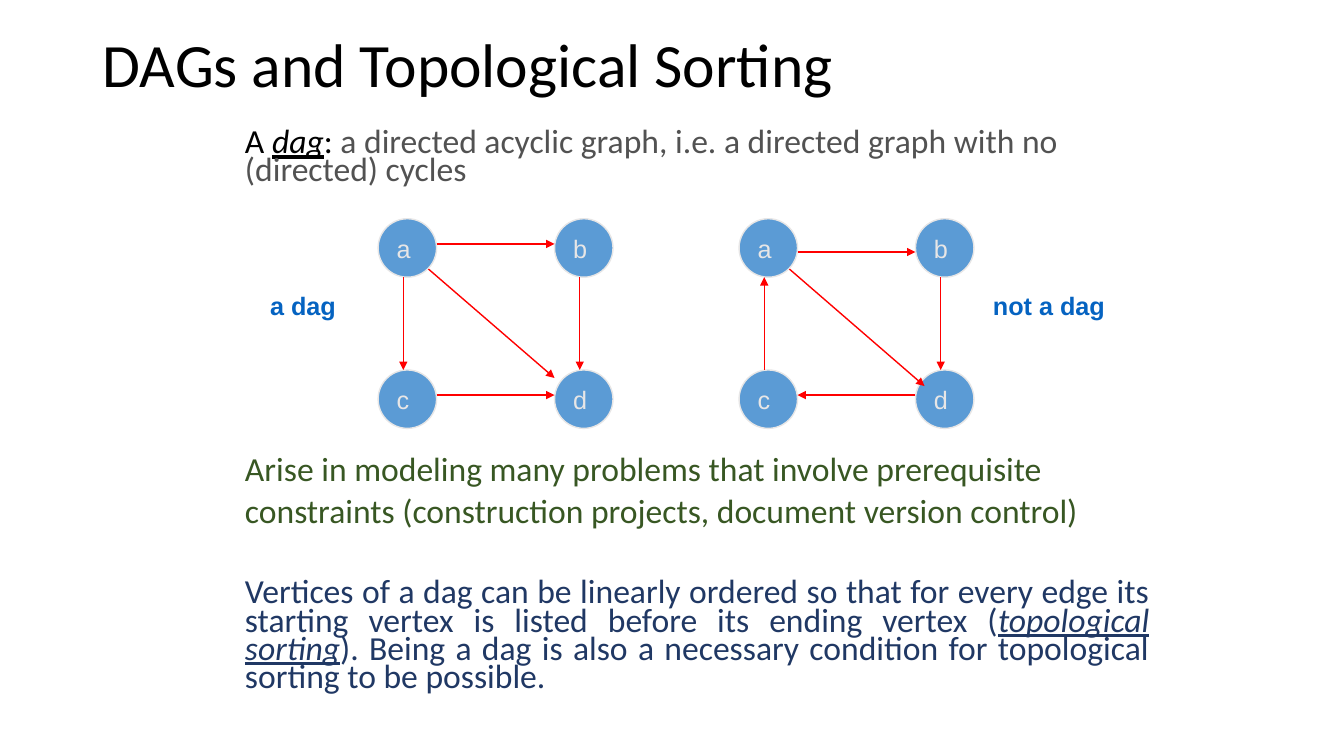
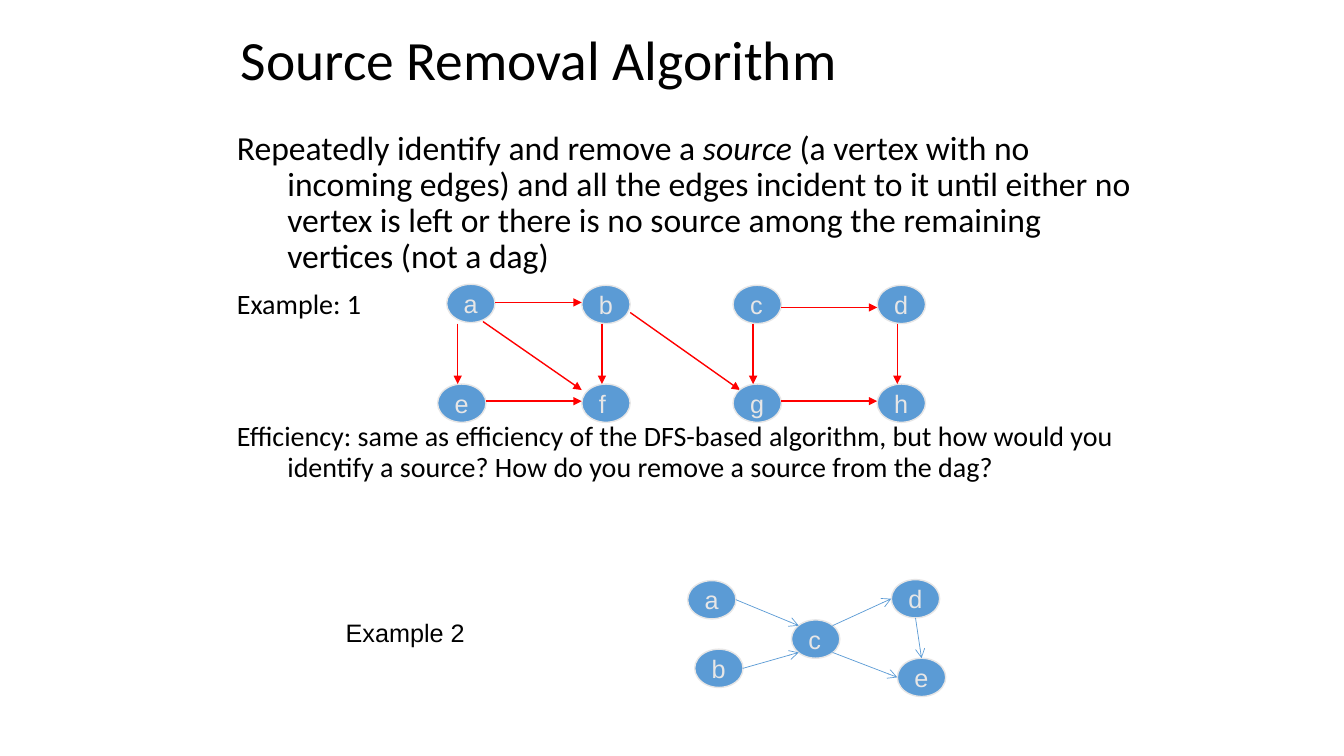
from lxml import etree
from pptx import Presentation
from pptx.dml.color import RGBColor
from pptx.enum.shapes import MSO_CONNECTOR, MSO_SHAPE
from pptx.enum.text import MSO_ANCHOR, MSO_AUTO_SIZE, PP_ALIGN
from pptx.oxml.ns import qn
from pptx.util import Inches, Pt

ELLIPSE, STRAIGHT = MSO_SHAPE.OVAL, MSO_CONNECTOR.STRAIGHT
LEFT, JUSTIFY = PP_ALIGN.LEFT, PP_ALIGN.JUSTIFY
TOP, MIDDLE = MSO_ANCHOR.TOP, MSO_ANCHOR.MIDDLE
NO_FIT = MSO_AUTO_SIZE.NONE

COLORS = {
    "text": "000000", "gray": "525252", "green": "385723", "navy": "203864",
    "label": "0563C1", "node": "5B9BD5", "node_text": "E7E6E6", "edge": "FF0000",
}
HEADING_FONT, LABEL_FONT = "Calibri", "Arial"

# Connection sites of an ellipse: index and position within its frame
SITES = {
    "top": (0, 0.5, 0), "top_left": (1, 0.15, 0.15), "left": (2, 0, 0.5),
    "bottom_left": (3, 0.15, 0.85), "bottom": (4, 0.5, 1),
    "bottom_right": (5, 0.85, 0.85), "right": (6, 1, 0.5), "top_right": (7, 0.85, 0.15),
}


def rgb(name):
    return RGBColor.from_string(COLORS[name])


def square(names, dx, dy):
    """Map four names to the corners of a dx by dy rectangle, row by row."""
    return {n: (i % 2 * dx, i // 2 * dy) for i, n in enumerate(names)}


class Deck:
    def __init__(self):
        self.prs = Presentation()
        self.prs.slide_width, self.prs.slide_height = Inches(13.33), Inches(7.5)

    def slide(self):
        self.s = self.prs.slides.add_slide(self.prs.slide_layouts[1])

    def place(self, sp, box, anchor):
        sp.left, sp.top, sp.width, sp.height = map(Inches, box)
        tf = sp.text_frame
        tf.word_wrap, tf.auto_size, tf.vertical_anchor = True, NO_FIT, anchor
        return tf

    def style(self, font, size, color, name=LABEL_FONT):
        font.name, font.size, font.color.rgb = name, Pt(size), rgb(color)

    def title(self, text, box, size):
        tf = self.place(self.s.shapes.title, box, MIDDLE)
        tf.text = text
        p = tf.paragraphs[0]
        p.alignment, p.line_spacing = LEFT, 0.9
        self.style(p.runs[0].font, size, "text", HEADING_FONT)

    def body(self, paragraphs, box, line_spacing, hang=0):
        """Each paragraph is (space before, size, align, runs); a run is (text, color, marks)."""
        tf = self.place(self.s.placeholders[1], box, TOP)
        for i, (before, size, align, runs) in enumerate(paragraphs):
            p = tf.add_paragraph() if i else tf.paragraphs[0]
            pPr = p._p.get_or_add_pPr()
            pPr.set("marL", str(Inches(hang)))
            pPr.set("indent", str(-Inches(hang)))
            etree.SubElement(pPr, qn("a:buNone"))
            p.alignment, p.line_spacing, p.space_before = align, line_spacing, Pt(before)
            for text, color, marks in runs:
                r = p.add_run()
                r.text = text
                self.style(r.font, size, color, HEADING_FONT)
                r.font.italic, r.font.underline = "i" in marks, "u" in marks

    def label(self, text, box, color="text", bold=False):
        tf = self.place(self.s.shapes.add_textbox(0, 0, 0, 0), box, TOP)
        tf.text = text
        font = tf.paragraphs[0].runs[0].font
        self.style(font, 18, color)
        font.bold = bold

    def node(self, name, x, y, size):
        sp = self.s.shapes.add_shape(ELLIPSE, Inches(x), Inches(y), *map(Inches, size))
        sp.shadow.inherit = False
        sp.fill.solid()
        sp.fill.fore_color.rgb = rgb("node")
        sp.line.color.rgb, sp.line.width = rgb("node_text"), Pt(1)
        tf = sp.text_frame
        tf.word_wrap, tf.vertical_anchor = False, MIDDLE
        tf.text = name
        p = tf.paragraphs[0]
        p.alignment = LEFT
        self.style(p.runs[0].font, 18, "node_text")
        return sp

    def arrow(self, points, color="edge", width=1, head="triangle"):
        """Draw an arrow through points x1, y1, x2, y2, given in EMU."""
        conn = self.s.shapes.add_connector(STRAIGHT, *points)
        conn.line.color.rgb, conn.line.width = rgb(color), Pt(width)
        spPr = conn._element.spPr
        etree.SubElement(spPr.find(qn("a:ln")), qn("a:tailEnd"), type=head)
        etree.SubElement(spPr, qn("a:effectLst"))
        return conn

    def join(self, start, start_site, end, end_site):
        """Draw a thin arrow glued to the named sites of two ellipses."""
        ends = ((start, *SITES[start_site]), (end, *SITES[end_site]))
        points = []
        for sp, _, fx, fy in ends:
            points += [sp.left + int(sp.width * fx), sp.top + int(sp.height * fy)]
        conn = self.arrow(points, "node", 0.5, "arrow")
        props = conn._element.find(".//" + qn("p:cNvCxnSpPr"))
        for tag, (sp, site, _, _) in zip(("a:stCxn", "a:endCxn"), ends):
            etree.SubElement(props, qn(tag), id=str(sp.shape_id), idx=str(site))

    def graph(self, x, y, size, nodes, edges=()):
        """Draw nodes and arrows, both placed relative to x, y."""
        made = {n: self.node(n, x + dx, y + dy, size) for n, (dx, dy) in nodes.items()}
        for x1, y1, x2, y2 in edges:
            self.arrow([Inches(v) for v in (x + x1, y + y1, x + x2, y + y2)])
        return made


def dag_slide(deck):
    deck.slide()
    deck.title("DAGs and Topological Sorting", (0.92, -0.05, 11.5, 1.45), 44)
    deck.body([
        (0, 24, LEFT, [
            ("A ", "text", ""), ("dag", "text", "iu"), (": ", "text", ""),
            ("a directed acyclic graph, i.e. a directed graph with no (directed) cycles",
             "gray", "")]),
        (194, 24, JUSTIFY, [
            ("Arise in modeling many problems that involve prerequisite", "green", "")]),
        (10, 24, JUSTIFY, [
            ("constraints (construction projects, document version control)", "green", "")]),
        (37, 24, JUSTIFY, [
            ("Vertices of a dag can be linearly ordered so that for every edge its starting "
             "vertex is listed before its ending vertex (", "navy", ""),
            ("topological sorting", "navy", "iu"),
            ("). Being a dag is also a necessary condition for topological sorting "
             "to be possible.", "navy", "")]),
    ], (2.33, 1.25, 9.17, 5.67), 0.7)

    size, corners = (0.58, 0.58), square("abcd", 1.75, 1.5)
    b_to_d = (2, 0.58, 2, 1.5)
    deck.graph(3.75, 2.17, size, corners, [
        (0.58, 0.25, 1.75, 0.25), (0.25, 0.58, 0.25, 1.5), (0.58, 1.75, 1.75, 1.75),
        b_to_d, (0.5, 0.5, 1.75, 1.58)])
    deck.graph(7.33, 2.17, size, corners, [
        (0.58, 0.33, 1.75, 0.33), (0.25, 1.5, 0.25, 0.58), (1.75, 1.75, 0.58, 1.75),
        b_to_d, (0.5, 0.5, 1.84, 1.66)])
    deck.label("a dag", (2.58, 2.83, 1.08, 0.4), "label", True)
    deck.label("not a dag", (9.75, 2.83, 1.67, 0.4), "label", True)


def source_removal_slide(deck):
    deck.slide()
    deck.title("Source Removal Algorithm", (2.29, 0.25, 9.17, 0.75), 39.6)
    deck.body([
        (0, 24, LEFT, [
            ("Repeatedly identify and remove a ", "text", ""), ("source", "text", "i"),
            (" (a vertex with no incoming edges) and all the edges incident to it until "
             "either no vertex is left or there is no source among the remaining vertices "
             "(not a dag)", "text", "")]),
        (10, 20, LEFT, [("Example: 1", "text", "")]),
        (73, 20, LEFT, [
            ("Efficiency: same as efficiency of the DFS-based algorithm, but how would you "
             "identify a source? How do you remove a source from the dag?", "text", "")]),
    ], (2.25, 1.25, 9.17, 4.08), 0.9, hang=0.5)

    size = (0.48, 0.38)
    sides = [(0.2, 0.38, 0.2, 0.98), (0.48, 1.15, 1.43, 1.15), (1.63, 0.38, 1.63, 0.98)]
    left = square("abef", 1.43, 0.98)
    left["a"] = (0.09, -0.01)
    deck.graph(4.34, 2.83, size, left, sides + [
        (0.57, 0.17, 1.43, 0.17), (0.45, 0.36, 1.43, 1.04), (1.91, 0.27, 3, 1.04)])
    deck.graph(7.27, 2.83, size, square("cdgh", 1.43, 0.98),
               sides + [(0.48, 0.22, 1.43, 0.22)])

    deck.label("Example 2", (3.33, 6.08, 2.87, 0.4))
    n = deck.graph(6.82, 5.75, size, {
        "a": (0, 0.01), "b": (0.07, 0.69), "c": (1.03, 0.4), "d": (2.02, 0), "e": (2.08, 0.78)})
    for start, start_site, end, end_site in (
            ("a", "right", "c", "top_left"), ("b", "right", "c", "bottom_left"),
            ("c", "top_right", "d", "left"), ("d", "bottom", "e", "top"),
            ("c", "bottom_right", "e", "left")):
        deck.join(n[start], start_site, n[end], end_site)


def main():
    deck = Deck()
    dag_slide(deck)
    source_removal_slide(deck)
    deck.prs.save("out.pptx")


if __name__ == "__main__":
    main()
